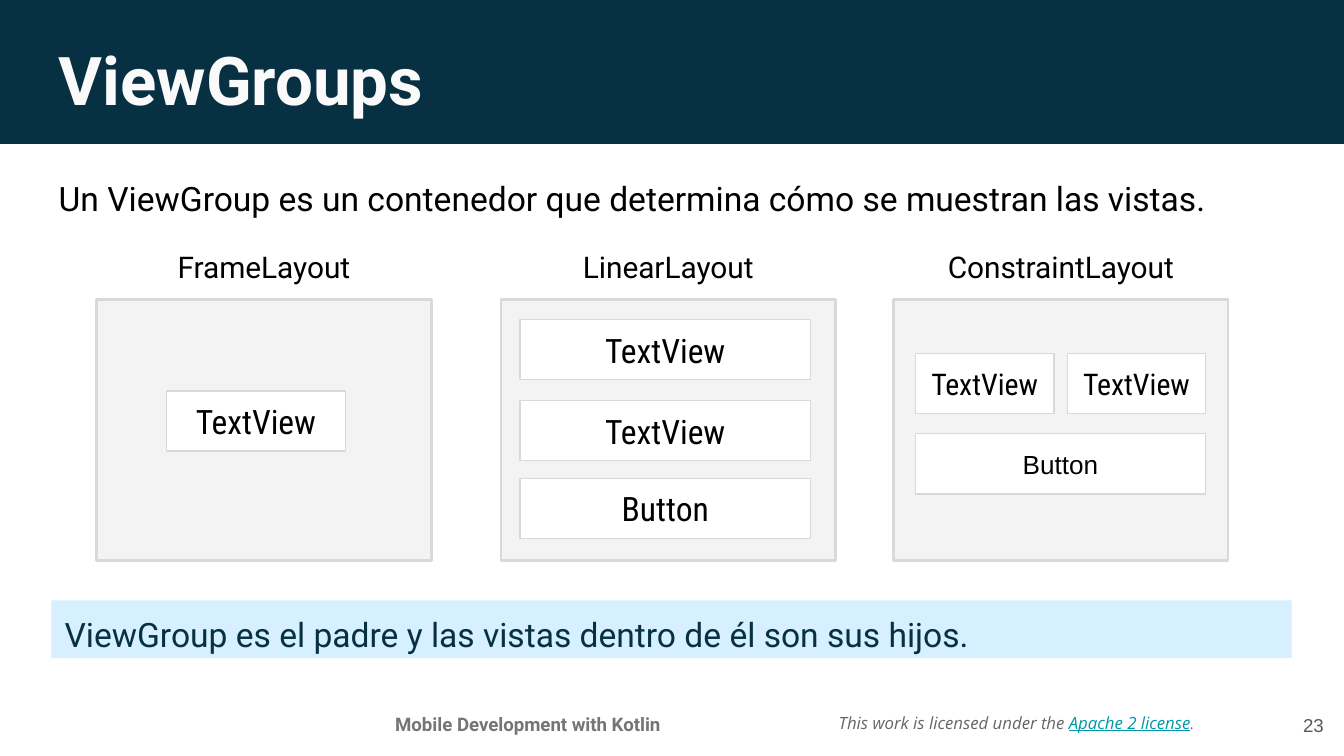
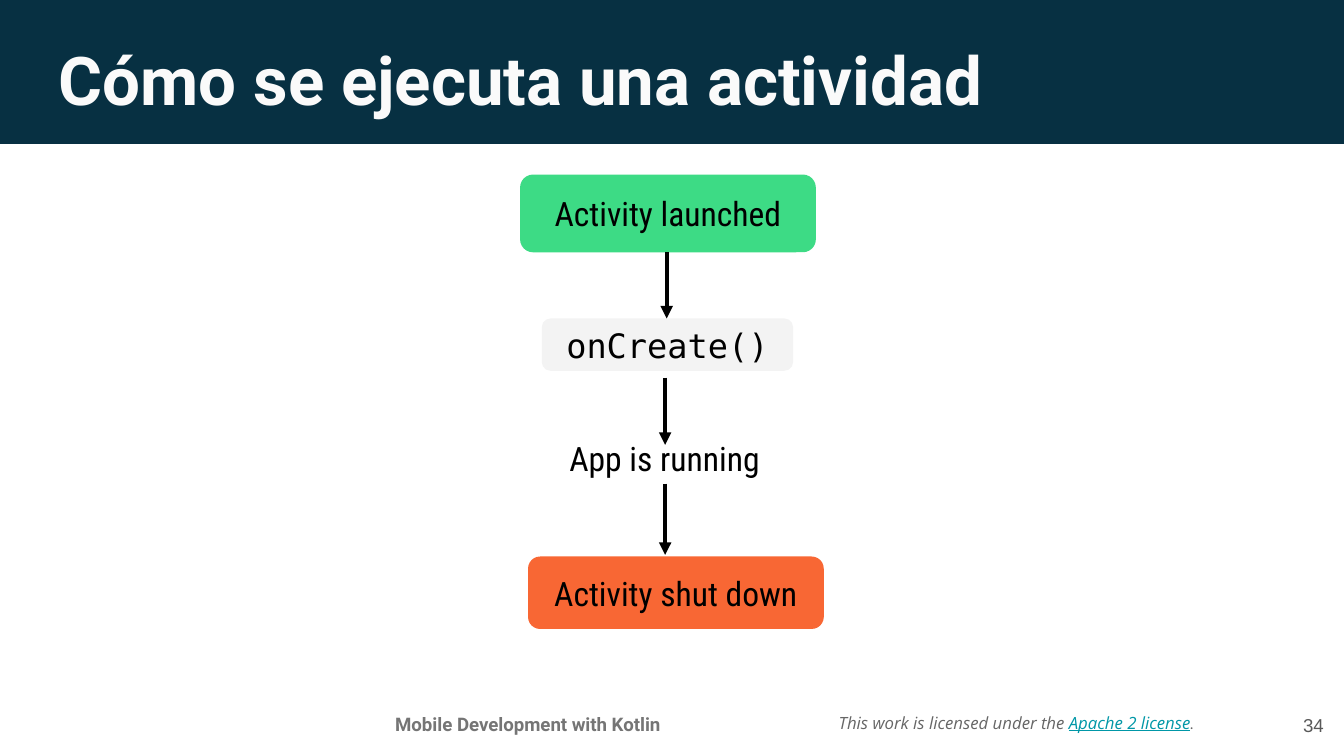
from dataclasses import dataclass, replace

from lxml.etree import SubElement
from pptx import Presentation
from pptx.dml.color import RGBColor
from pptx.enum.shapes import MSO_CONNECTOR, MSO_SHAPE
from pptx.enum.text import MSO_ANCHOR, MSO_AUTO_SIZE, PP_ALIGN
from pptx.oxml.ns import qn
from pptx.util import Cm, Pt

COLORS = {
    "navy": "073042",
    "title": "FAFAFA",
    "black": "000000",
    "white": "FFFFFF",
    "panel": "F3F3F3",
    "border": "D9D9D9",
    "banner": "D6F0FF",
    "launched": "3DDB85",
    "shut_down": "F86734",
    "course": "757575",
    "license": "666666",
    "link": "0097A7",
    "number": "595959",
}


@dataclass(frozen=True)
class Box:
    left: float
    top: float
    width: float
    height: float

    def inner(self, left, top, width, height):
        return Box(self.left + left, self.top + top, width, height)

    def lengths(self):
        return Cm(self.left), Cm(self.top), Cm(self.width), Cm(self.height)


@dataclass(frozen=True)
class Style:
    size: float
    font: str = "Roboto"
    color: str = "black"
    bold: bool = False
    italic: bool = False
    underline: bool = False


TITLE = Style(36, color="title", bold=True)
BODY = Style(18)
LABEL = Style(16)
NODE = Style(18, "Roboto Condensed")
SMALL_NODE = replace(NODE, size=16)
BUTTON = Style(14, "Arial")
CODE = Style(18, "DejaVu Sans Mono")
COURSE = Style(10, color="course", bold=True)
LICENSE = Style(9, "Open Sans", "license", italic=True)
LINK = replace(LICENSE, color="link", underline=True)
NUMBER = Style(10, "Arial", "number")


def color(name):
    return RGBColor.from_string(COLORS[name])


def format_run(run, style):
    font = run.font
    font.name = style.font
    font.size = Pt(style.size)
    font.bold = style.bold
    font.italic = style.italic
    font.underline = style.underline
    font.color.rgb = color(style.color)


def write_text(shape, text, style, align=PP_ALIGN.LEFT, anchor=MSO_ANCHOR.TOP):
    frame = shape.text_frame
    frame.word_wrap = True
    frame.auto_size = MSO_AUTO_SIZE.NONE
    frame.vertical_anchor = anchor
    frame.margin_left = frame.margin_right = Cm(0.25)
    frame.margin_top = frame.margin_bottom = Cm(0.25)
    frame.text = text
    paragraph = frame.paragraphs[0]
    paragraph.alignment = align
    for run in paragraph.runs:
        format_run(run, style)
    return paragraph


def add_text(slide, box, text, style, align=PP_ALIGN.LEFT, anchor=MSO_ANCHOR.TOP):
    shape = slide.shapes.add_textbox(*box.lengths())
    return shape, write_text(shape, text, style, align, anchor)


def add_block(slide, box, fill, kind=MSO_SHAPE.RECTANGLE, line_width=0):
    shape = slide.shapes.add_shape(kind, *box.lengths())
    shape.shadow.inherit = False
    shape.fill.solid()
    shape.fill.fore_color.rgb = color(fill)
    if line_width:
        shape.line.color.rgb = color("border")
        shape.line.width = Pt(line_width)
    else:
        shape.line.fill.background()
    return shape


def add_arrow(slide, left, top, bottom):
    arrow = slide.shapes.add_connector(
        MSO_CONNECTOR.STRAIGHT, Cm(left), Cm(top), Cm(left), Cm(bottom)
    )
    arrow.line.color.rgb = color("black")
    arrow.line.width = Pt(2.25)
    SubElement(arrow.line._get_or_add_ln(), qn("a:tailEnd"), type="triangle")
    SubElement(arrow.element.spPr, qn("a:effectLst"))


def move_shared_parts_to_layout(slide, layout):
    band = add_block(slide, Box(-0.03, -0.1, 25.43, 2.82), "navy")
    license_box, paragraph = add_text(
        slide, Box(15.6, 13.06, 7.47, 1.19),
        "This work is licensed under the ", LICENSE, anchor=MSO_ANCHOR.MIDDLE,
    )
    for text, style in (
        ("Apache 2 license", LINK),
        (".", replace(LICENSE, font="Roboto")),
    ):
        run = paragraph.add_run()
        run.text = text
        format_run(run, style)
    course, _ = add_text(
        slide, Box(6.38, 13.23, 7.19, 0.81),
        "Mobile Development with Kotlin", COURSE, PP_ALIGN.CENTER,
    )
    for placeholder in list(layout.placeholders)[1:]:
        layout.shapes.element.remove(placeholder.element)
    for shape in (license_box, band, course):
        layout.shapes.element.append(shape.element)


def add_titled_slide(presentation, layout, title_text, number):
    slide = presentation.slides.add_slide(layout)
    title = slide.shapes.title
    title.left, title.top, title.width, title.height = Box(0.86, 0.48, 23.67, 1.6).lengths()
    write_text(title, title_text, TITLE)
    add_text(
        slide, Box(23.75, 13.16, 1.52, 1.09), number, NUMBER,
        PP_ALIGN.RIGHT, MSO_ANCHOR.MIDDLE,
    )
    return slide


def add_view_group(slide, box, name, views):
    add_block(slide, box, "panel", line_width=1.5)
    add_text(slide, box.inner(0, -1.21, box.width, 0.89), name, LABEL, PP_ALIGN.CENTER)
    for left, top, width, text, style in views:
        view = add_block(slide, box.inner(left, top, width, 1.14), "white", line_width=0.75)
        write_text(view, text, style, PP_ALIGN.CENTER, MSO_ANCHOR.MIDDLE)


def fill_view_groups_slide(slide):
    _, intro = add_text(
        slide, Box(0.86, 3, 23.67, 1.14),
        "Un ViewGroup es un contenedor que determina cómo se muestran las vistas.", BODY,
    )
    intro.line_spacing = 1.15
    groups = (
        (1.83, "FrameLayout", [(1.32, 1.73, 3.38, "TextView", NODE)]),
        (9.47, "LinearLayout", [
            (0.36, 0.38, 5.49, "TextView", NODE),
            (0.36, 1.91, 5.49, "TextView", NODE),
            (0.36, 3.38, 5.49, "Button", NODE),
        ]),
        (16.89, "ConstraintLayout", [
            (0.41, 1.02, 2.62, "TextView", SMALL_NODE),
            (3.28, 1.02, 2.62, "TextView", SMALL_NODE),
            (0.41, 2.54, 5.49, "Button", BUTTON),
        ]),
    )
    for left, name, views in groups:
        add_view_group(slide, Box(left, 5.66, 6.32, 4.93), name, views)
    banner = add_block(slide, Box(0.97, 11.35, 23.44, 1.09), "banner")
    write_text(
        banner, "ViewGroup es el padre y las vistas dentro de él son sus hijos.",
        replace(BODY, color="navy"),
    )


def add_activity_flow(slide, box):
    for place, text, fill, style in (
        ((0, 0, 5.59, 1.47), "Activity launched", "launched", NODE),
        ((0.41, 2.72, 4.75, 0.99), "onCreate()", "panel", CODE),
        ((0.15, 7.22, 5.59, 1.37), "Activity shut down", "shut_down", NODE),
    ):
        step = add_block(slide, box.inner(*place), fill, MSO_SHAPE.ROUNDED_RECTANGLE)
        write_text(step, text, style, PP_ALIGN.CENTER, MSO_ANCHOR.MIDDLE)
    add_text(slide, box.inner(0.15, 4.73, 5.16, 1.09), "App is running", NODE, PP_ALIGN.CENTER)
    for left, start, end in ((2.77, 1.47, 2.72), (2.74, 3.84, 5.11), (2.74, 5.84, 7.19)):
        add_arrow(slide, box.left + left, box.top + start, box.top + end)


def main():
    presentation = Presentation()
    presentation.slide_width, presentation.slide_height = Cm(25.4), Cm(14.29)
    layout = presentation.slide_layouts.get_by_name("Title Only")
    view_groups = add_titled_slide(presentation, layout, "ViewGroups", "23")
    move_shared_parts_to_layout(view_groups, layout)
    fill_view_groups_slide(view_groups)
    activity = add_titled_slide(presentation, layout, "Cómo se ejecuta una actividad", "34")
    add_activity_flow(activity, Box(9.83, 3.3, 5.74, 8.59))
    presentation.save("out.pptx")


if __name__ == "__main__":
    main()
